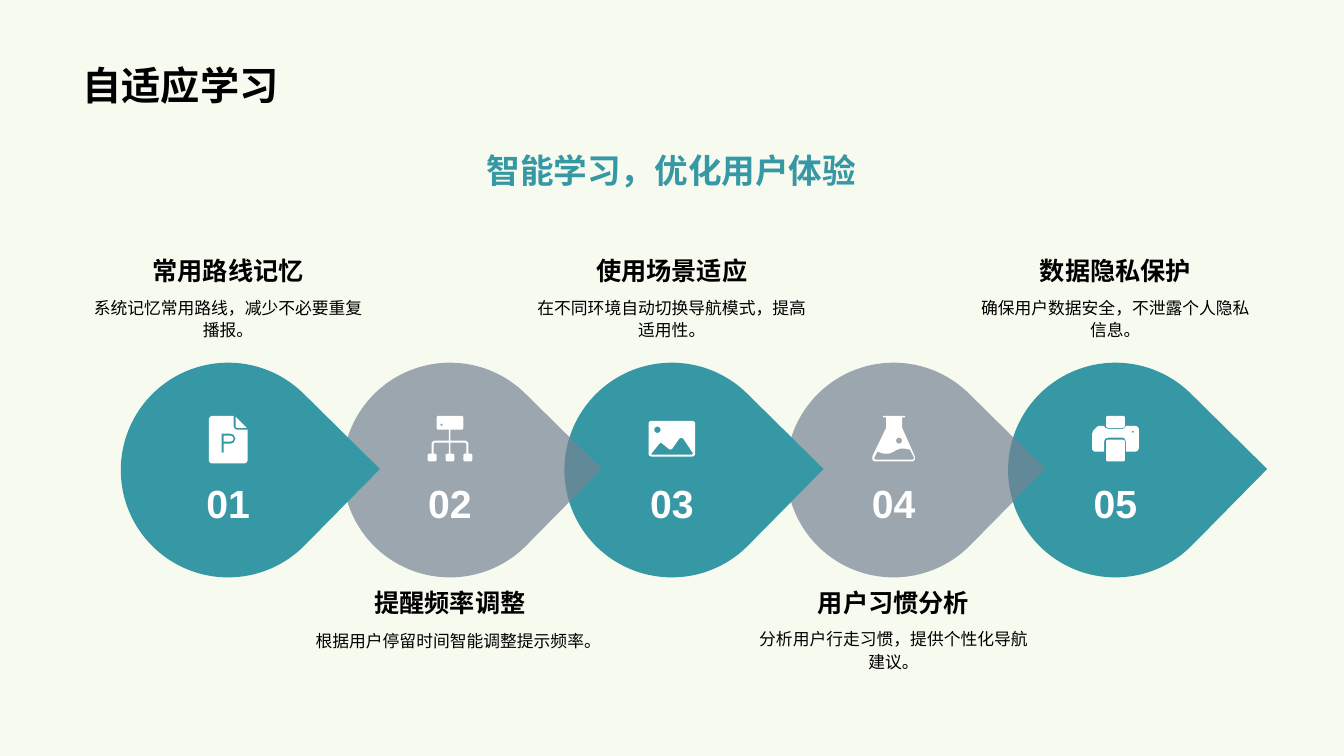
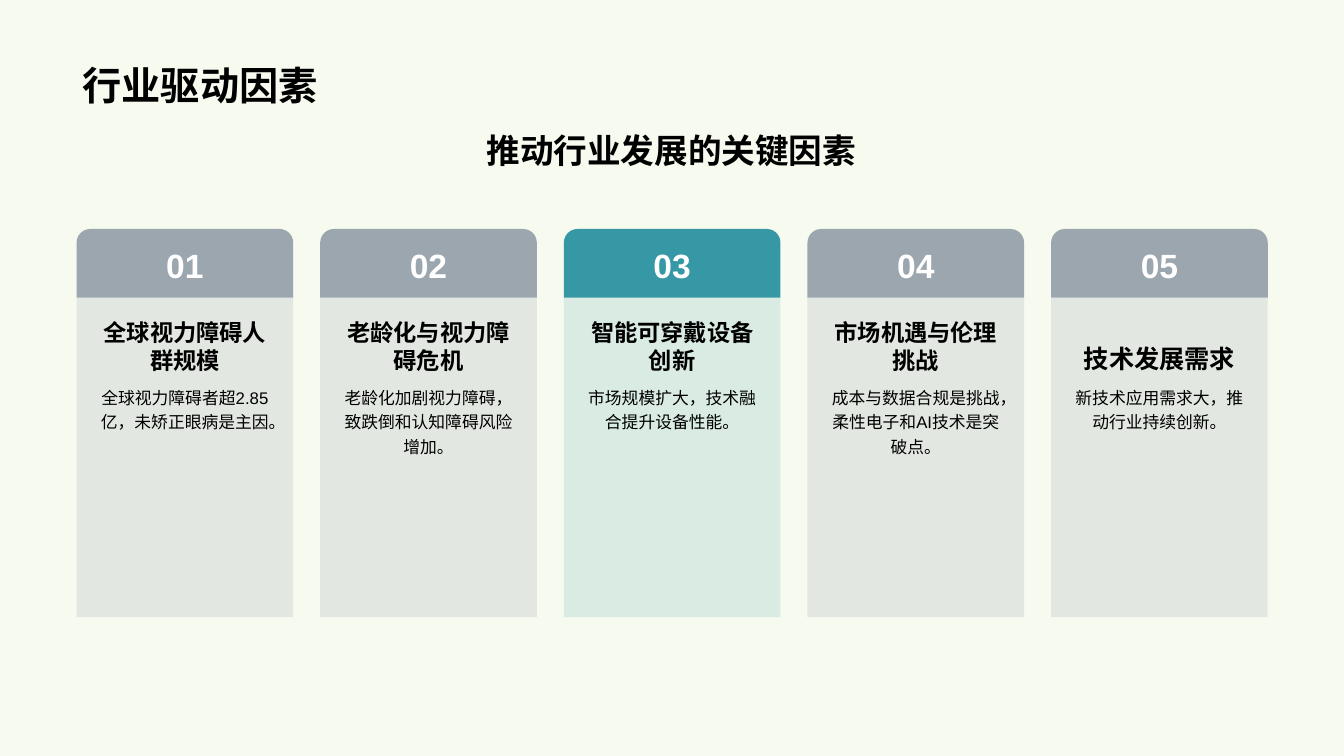
from math import cos, pi, sin

from lxml import etree
from pptx import Presentation
from pptx.dml.color import RGBColor
from pptx.enum.shapes import MSO_SHAPE
from pptx.enum.text import MSO_ANCHOR, MSO_AUTO_SIZE, PP_ALIGN
from pptx.oxml.ns import qn
from pptx.util import Cm, Pt

TEARDROP = MSO_SHAPE.TEAR
RECTANGLE = MSO_SHAPE.RECTANGLE
ROUND_TOP = MSO_SHAPE.ROUND_2_SAME_RECTANGLE
TOP, MIDDLE, BOTTOM = MSO_ANCHOR.TOP, MSO_ANCHOR.MIDDLE, MSO_ANCHOR.BOTTOM
CENTER = PP_ALIGN.CENTER
NO_AUTOFIT = MSO_AUTO_SIZE.NONE

FONT = "Arial"
CREAM = RGBColor(0xF6, 0xFA, 0xEF)
TEAL = RGBColor(0x36, 0x98, 0xA4)
SLATE = RGBColor(0x76, 0x83, 0x94)
BLACK = RGBColor(0, 0, 0)
WHITE = RGBColor(0xFF, 0xFF, 0xFF)

TITLE_ONLY = 5
MARGIN, CONTENT_WIDTH = 1.83, 30.18
ICON_UNIT = 0.03 * 5 / 6


def circle(x, y, radius, steps=20):
    return [(x + radius * cos(2 * pi * k / steps), y + radius * sin(2 * pi * k / steps))
            for k in range(steps)]


def rounded(x, y, width, height, radius, steps=4):
    corners = [(x + width - radius, y + height - radius), (x + radius, y + height - radius),
               (x + radius, y + radius), (x + width - radius, y + radius)]
    return [(cx + radius * cos(pi / 2 * (quarter + k / steps)),
             cy + radius * sin(pi / 2 * (quarter + k / steps)))
            for quarter, (cx, cy) in enumerate(corners) for k in range(steps + 1)]


DOCUMENT = [
    [(3, 0), (25, 0), (25, 11), (26, 13), (28, 14), (39, 14), (39, 45), (38, 47), (36, 48),
     (3, 48), (1, 47), (0, 45), (0, 3), (1, 1)],
    [(13, 18), (22, 18), (25, 19), (27, 23), (25, 27), (22, 28), (15, 28), (15, 37), (13, 37)],
    [(15, 20), (22, 20), (24, 21), (25, 23), (24, 25), (22, 26), (15, 26)],
    [(27, 1), (38, 12), (28, 12), (27, 11)],
]
HIERARCHY = [
    rounded(9, 0, 27, 14, 2),
    circle(14, 9, 1.2),
    [(21.5, 14), (23, 14), (23, 25), (38, 25), (40, 26), (41, 28), (41, 38), (39, 38), (39, 28),
     (38, 27), (23, 27), (23, 38), (21.5, 38), (21.5, 27), (7, 27), (6, 28), (6, 38), (4, 38),
     (4, 28), (5, 26), (7, 25), (21.5, 25)],
    *[rounded(x, 38, 9, 8, 2) for x in (0, 18, 36)],
]
LANDSCAPE = [
    rounded(0, 5, 47, 36, 3),
    [(35, 23), (33, 22), (31, 23), (24, 33), (22, 34), (20, 33), (14, 28), (12, 27), (11, 28),
     (3, 38), (3, 39), (44, 39), (45, 38)],
    circle(9, 14, 3.2),
]
FLASK = [
    [(11, 0), (33, 0), (33, 1.5), (30, 1.5), (30, 12), (31, 14), (43, 41), (43, 44), (41, 46),
     (2, 46), (0, 44), (0, 41), (13, 14), (14, 12), (14, 1.5), (11, 1.5)],
    [(23, 35), (22, 36), (17, 38), (11, 38), (5, 36), (2, 42), (2, 43), (3, 44), (41, 44),
     (42, 43), (42, 42), (38, 34), (33, 33), (28, 33)],
    circle(27, 25, 3),
]
PRINTER = [
    rounded(14, 0, 19, 12, 2),
    [(12, 10), (13, 12), (16, 13), (31, 13), (33, 12), (34, 10), (44, 10), (46, 11), (47, 13),
     (47, 33), (46, 35), (44, 36), (34, 36), (34, 26), (33, 23), (31, 22), (16, 22), (13, 23),
     (12, 26), (12, 36), (2, 36), (0, 34), (0, 18), (1, 15), (5, 11), (7, 10)],
    circle(41, 16, 1),
    rounded(14, 24, 19, 22, 2),
]

LEARNING_TITLE = "自适应学习"
LEARNING_SUBTITLE = "智能学习，优化用户体验"
LEARNING_STEPS = [
    ("常用路线记忆", "系统记忆常用路线，减少不必要重复播报。", 1.1, DOCUMENT),
    ("提醒频率调整", "根据用户停留时间智能调整提示频率。", 1.2, HIERARCHY),
    ("使用场景适应", "在不同环境自动切换导航模式，提高适用性。", 1.1, LANDSCAPE),
    ("用户习惯分析", "分析用户行走习惯，提供个性化导航建议。", 1.1, FLASK),
    ("数据隐私保护", "确保用户数据安全，不泄露个人隐私信息。", 1.1, PRINTER),
]

DRIVERS_TITLE = "行业驱动因素"
DRIVERS_SUBTITLE = "推动行业发展的关键因素"
HIGHLIGHTED_DRIVER = 2
DRIVERS = [
    ("全球视力障碍人群规模", 16.6, "全球视力障碍者超2.85亿，未矫正眼病是主因。"),
    ("老龄化与视力障碍危机", 16.6, "老龄化加剧视力障碍，致跌倒和认知障碍风险增加。"),
    ("智能可穿戴设备创新", 16.6, "市场规模扩大，技术融合提升设备性能。"),
    ("市场机遇与伦理挑战", 16.6, "成本与数据合规是挑战，柔性电子和AI技术是突破点。"),
    ("技术发展需求", 18, "新技术应用需求大，推动行业持续创新。"),
]


def write(frame, text, size, color=BLACK, bold=True, anchor=TOP, align=CENTER, spacing=None):
    frame.word_wrap = True
    frame.auto_size = NO_AUTOFIT
    frame.vertical_anchor = anchor
    paragraph = frame.paragraphs[0]
    paragraph.text = text
    paragraph.alignment = align
    paragraph.line_spacing = spacing
    font = paragraph.font
    font.name, font.size, font.bold = FONT, Pt(size), bold
    font.color.rgb = color


def add_text(slide, box, text, size, **style):
    frame = slide.shapes.add_textbox(*map(Cm, box)).text_frame
    write(frame, text, size, **style)
    return frame


def paint(shape, color, opacity=100):
    shape.shadow.inherit = False
    shape.line.fill.background()
    shape.fill.solid()
    shape.fill.fore_color.rgb = color
    if opacity < 100:
        srgb = shape.fill._xPr.find(qn("a:solidFill")).find(qn("a:srgbClr"))
        etree.SubElement(srgb, qn("a:alpha")).set("val", str(opacity * 1000))


def add_block(slide, preset, box, color, opacity=100):
    block = slide.shapes.add_shape(preset, *map(Cm, box))
    paint(block, color, opacity)
    return block


def add_icon(slide, contours, center, top):
    width = max(x for contour in contours for x, _ in contour)
    left = center - width * ICON_UNIT / 2
    builder = None
    for contour in contours:
        points = [(Cm(left + x * ICON_UNIT), Cm(top + y * ICON_UNIT)) for x, y in contour]
        if builder is None:
            builder = slide.shapes.build_freeform(*points[0])
        else:
            builder.move_to(*points[0])
        builder.add_line_segments(points[1:], close=True)
    paint(builder.convert_to_shape(), WHITE)


def add_titled_slide(prs, title):
    slide = prs.slides.add_slide(prs.slide_layouts[TITLE_ONLY])
    write(slide.shapes.title.text_frame, title, 28, anchor=BOTTOM, align=PP_ALIGN.LEFT)
    return slide


def build_learning(prs):
    slide = add_titled_slide(prs, LEARNING_TITLE)
    add_text(slide, (MARGIN, 3.66, CONTENT_WIDTH, 1.45), LEARNING_SUBTITLE, 24, color=TEAL)
    first_center, pitch, drop, drop_top = 5.75, 5.59, 5.41, 9.14
    text_width, heading_height, number_width = 7.65, 1.02, 1.62
    for i, (heading, detail, spacing, icon) in reversed(list(enumerate(LEARNING_STEPS))):
        center = first_center + i * pitch
        color, opacity, heading_top = (SLATE, 70, 14.66) if i % 2 else (TEAL, 100, 6.3)
        teardrop = add_block(slide, TEARDROP, (center - drop / 2, drop_top, drop, drop),
                             color, opacity)
        teardrop.rotation = 44.6
        add_icon(slide, icon, center, 10.48)
        number = add_text(slide, (center - number_width / 2, 11.94, number_width, 1.45),
                          f"{i + 1:02}", 28, color=WHITE, anchor=MIDDLE)
        number.word_wrap = False
        left = center - text_width / 2
        add_text(slide, (left, heading_top, text_width, heading_height), heading, 18,
                 anchor=BOTTOM)
        add_text(slide, (left, heading_top + heading_height, text_width, 1.35), detail, 12,
                 bold=False, spacing=spacing)


def build_drivers(prs):
    slide = add_titled_slide(prs, DRIVERS_TITLE)
    add_text(slide, (MARGIN, 3.15, CONTENT_WIDTH, 1.27), DRIVERS_SUBTITLE, 24)
    first_left, pitch, width, inset = 1.93, 6.14, 5.46, 0.3
    header_top, header_height, panel_height = 5.77, 1.73, 8.05
    for i, (heading, heading_size, detail) in enumerate(DRIVERS):
        left = first_left + i * pitch
        color, opacity = (TEAL, 100) if i == HIGHLIGHTED_DRIVER else (SLATE, 70)
        add_block(slide, RECTANGLE, (left, header_top + header_height, width, panel_height),
                  color, 15)
        header = add_block(slide, ROUND_TOP, (left, header_top, width, header_height),
                           color, opacity)
        header.adjustments[0] = 0.2
        write(header.text_frame, f"{i + 1:02}", 24, color=WHITE, anchor=MIDDLE)
        text_left, text_width = left + inset, width - 2 * inset
        add_text(slide, (text_left, 8.1, text_width, 1.45), heading, heading_size, anchor=BOTTOM)
        add_text(slide, (text_left, 9.55, text_width, 4.65), detail, 12, bold=False, spacing=1.2)


def main():
    prs = Presentation()
    prs.slide_width, prs.slide_height = Cm(33.87), Cm(19.05)
    background = prs.slide_master.background.fill
    background.solid()
    background.fore_color.rgb = CREAM
    title = prs.slide_layouts[TITLE_ONLY].placeholders[0]
    title.left, title.top, title.width, title.height = map(
        Cm, (MARGIN, 0.36, CONTENT_WIDTH, 2.49))
    build_learning(prs)
    build_drivers(prs)
    prs.save("out.pptx")


if __name__ == "__main__":
    main()
